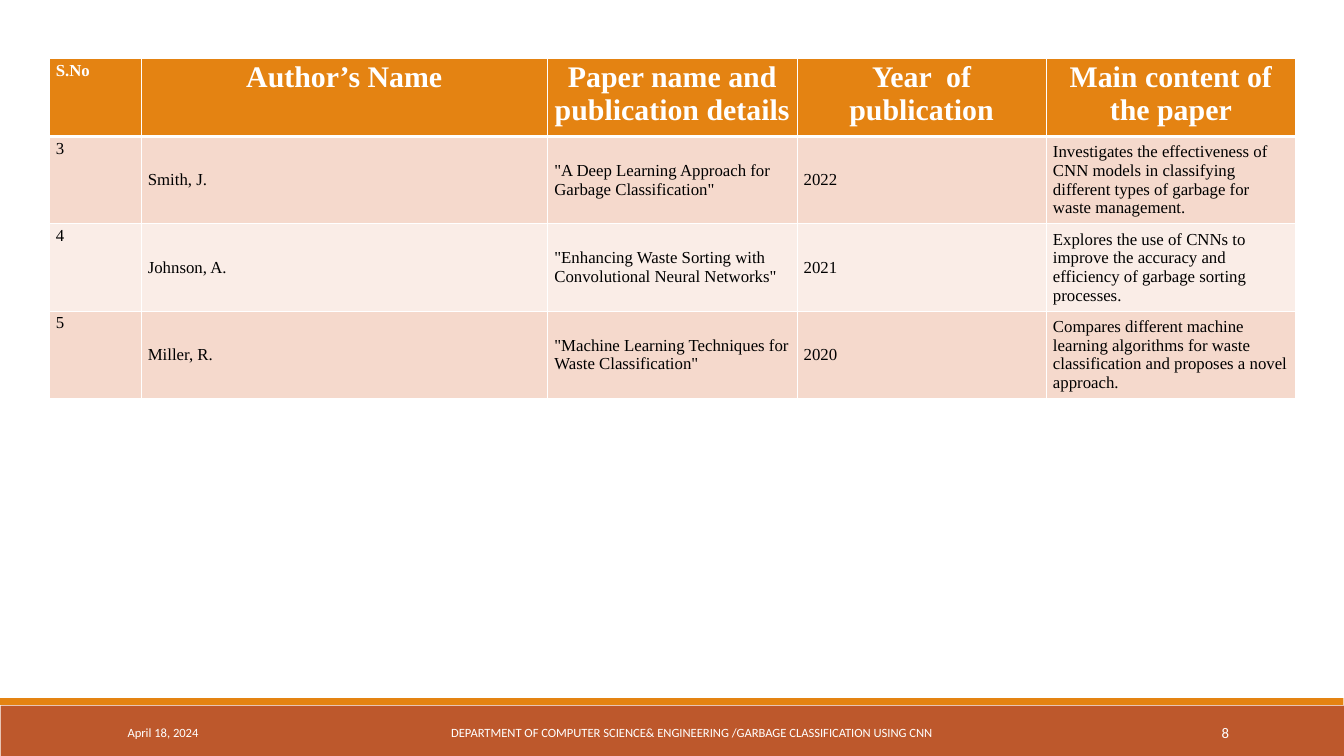
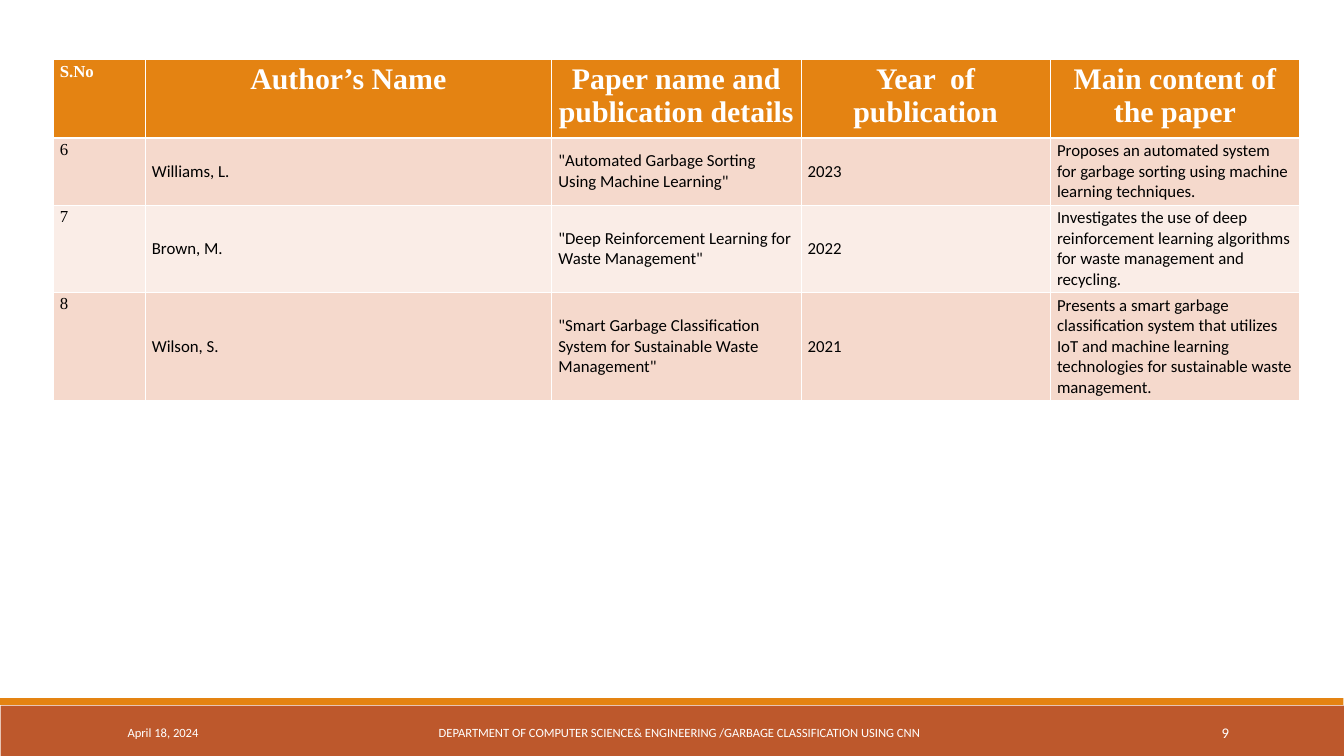
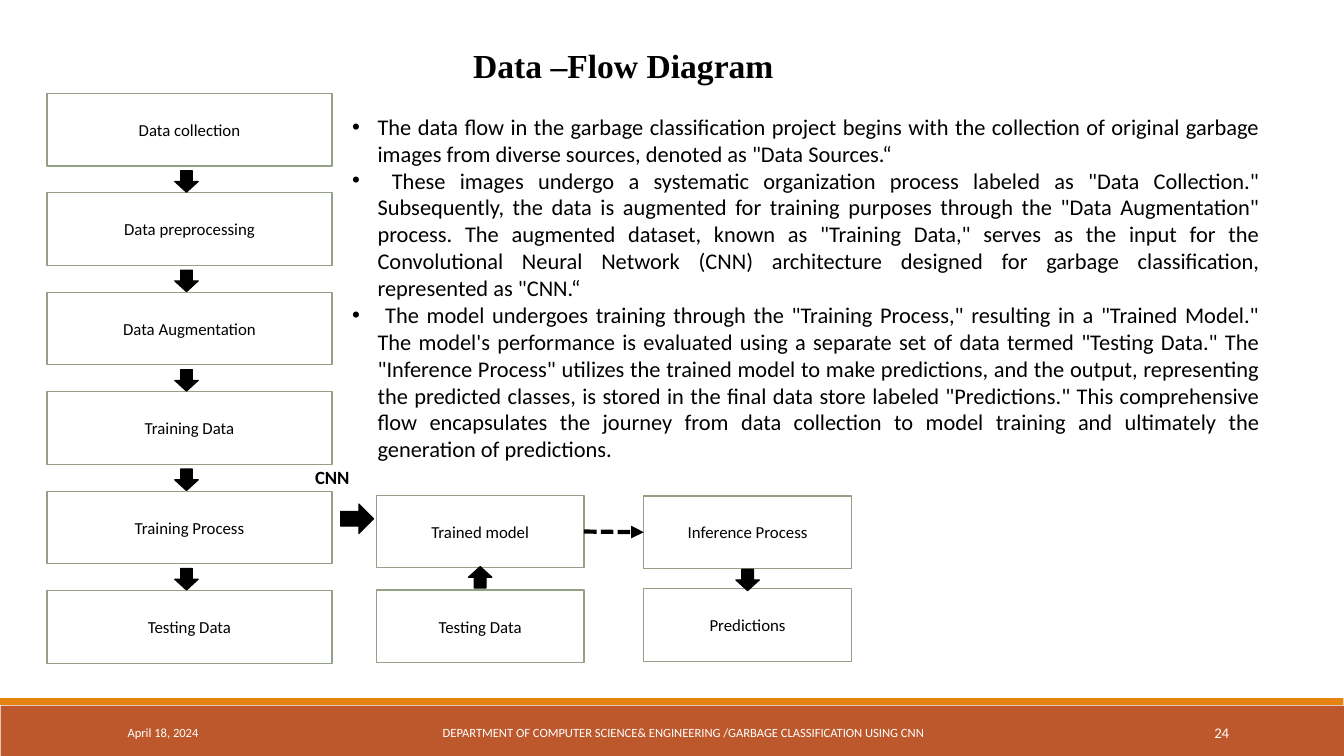
from lxml import etree
from pptx import Presentation
from pptx.dml.color import RGBColor
from pptx.enum.dml import MSO_LINE
from pptx.enum.shapes import MSO_CONNECTOR, MSO_SHAPE
from pptx.enum.text import MSO_ANCHOR, MSO_AUTO_SIZE, PP_ALIGN
from pptx.oxml.ns import qn
from pptx.util import Inches, Pt

WIDTH, HEIGHT = Inches(20), Inches(11.25)
COLUMNS, ROWS = 20, 11.25
TITLE_ONLY, BLANK = 5, 6
LEFT, CENTER, RIGHT, JUSTIFY = PP_ALIGN.LEFT, PP_ALIGN.CENTER, PP_ALIGN.RIGHT, PP_ALIGN.JUSTIFY
TOP, MIDDLE = MSO_ANCHOR.TOP, MSO_ANCHOR.MIDDLE
RECTANGLE, DOWN, ARROW_RIGHT = MSO_SHAPE.RECTANGLE, MSO_SHAPE.DOWN_ARROW, MSO_SHAPE.RIGHT_ARROW
STRAIGHT, DASHED, NO_AUTOFIT = MSO_CONNECTOR.STRAIGHT, MSO_LINE.SQUARE_DOT, MSO_AUTO_SIZE.NONE
RIGHT_SIDE, LEFT_SIDE = 3, 1

COLORS = {"band": "BD582C", "accent": "E48312", "odd_row": "F5D9CC", "even_row": "FAEDE7",
          "box_line": "94A088", "ink": "000000", "paper": "FFFFFF"}
SERIF, SANS = "Times New Roman", "Calibri"

DATE = "April 18, 2024"
DEPARTMENT = "DEPARTMENT OF COMPUTER SCIENCE& ENGINEERING /GARBAGE CLASSIFICATION USING CNN"
PAPER_HEADERS = ["S.No", "Author’s Name", "Paper name and publication details",
                 "Year  of publication", "Main content of the paper"]
PAPER_COLUMNS = [1.37, 6.05, 3.71, 3.71, 3.71]
HEADER_HEIGHT = 1.16

FIRST_PAPERS = [
    ["3", "Smith, J.", '"A Deep Learning Approach for Garbage Classification"', "2022",
     "Investigates the effectiveness of CNN models in classifying different types of garbage "
     "for waste management."],
    ["4", "Johnson, A.", '"Enhancing Waste Sorting with Convolutional Neural Networks"', "2021",
     "Explores the use of CNNs to improve the accuracy and efficiency of garbage sorting "
     "processes."],
    ["5", "Miller, R.", '"Machine Learning Techniques for Waste Classification"', "2020",
     "Compares different machine learning algorithms for waste classification and proposes "
     "a novel approach."],
]
MORE_PAPERS = [
    ["6", "Williams, L.", '"Automated Garbage Sorting Using Machine Learning"', "2023",
     "Proposes an automated system for garbage sorting using machine learning techniques."],
    ["7", "Brown, M.", '"Deep Reinforcement Learning for Waste Management"', "2022",
     "Investigates the use of deep reinforcement learning algorithms for waste management "
     "and recycling."],
    ["8", "Wilson, S.",
     '"Smart Garbage Classification System for Sustainable Waste Management"', "2021",
     "Presents a smart garbage classification system that utilizes IoT and machine learning "
     "technologies for sustainable waste management."],
]
FLOW_NOTES = [
    "The data flow in the garbage classification project begins with the collection of original "
    'garbage images from diverse sources, denoted as "Data Sources.“',
    ' These images undergo a systematic organization process labeled as "Data Collection." '
    "Subsequently, the data is augmented for training purposes through the "
    '"Data Augmentation" process. The augmented dataset, known as "Training Data," serves as '
    "the input for the Convolutional Neural Network (CNN) architecture designed for garbage "
    'classification, represented as "CNN.“',
    ' The model undergoes training through the "Training Process," resulting in a "Trained '
    "Model.\" The model's performance is evaluated using a separate set of data termed "
    '"Testing Data." The "Inference Process" utilizes the trained model to make predictions, '
    "and the output, representing the predicted classes, is stored in the final data store "
    'labeled "Predictions." This comprehensive flow encapsulates the journey from data '
    "collection to model training and ultimately the generation of predictions.",
]
PIPELINE = ["Data collection", "Data preprocessing", "Data Augmentation", "Training Data",
            "Training Process", "Testing Data"]


def color(name):
    return RGBColor.from_string(COLORS[name])


def across(columns):
    return round(WIDTH * columns / COLUMNS)


def down(rows):
    return round(HEIGHT * rows / ROWS)


def area(left, top, width, height):
    return across(left), down(top), across(width), down(height)


class Deck:
    """Holds the presentation style and the slide being filled."""

    def __init__(self):
        self.presentation = Presentation()
        self.presentation.slide_width, self.presentation.slide_height = WIDTH, HEIGHT
        self.slide = None

    def start_slide(self, number, footer_width, layout=BLANK):
        self.slide = self.presentation.slides.add_slide(
            self.presentation.slide_layouts[layout])
        self.shape(RECTANGLE, (0.01, 10.5, 19.99, 0.75), "band")
        self.shape(RECTANGLE, (0, 10.39, 19.99, 0.1), "accent")
        for left, width, words, size, align in (
                (1.8, 4.06, DATE, 13.5, LEFT),
                (6.05, footer_width, DEPARTMENT, 13.5, CENTER),
                (16.24, 2.15, str(number), 15.8, RIGHT)):
            self.text((left, 10.6, width, 0.6), [words], size, "paper", align, anchor=MIDDLE)

    def words(self, paragraph, words, size, ink="ink", align=LEFT, font=SANS, bold=False):
        paragraph.alignment = align
        run = paragraph.add_run()
        run.text = words
        run.font.size, run.font.name, run.font.bold = Pt(size), font, bold
        run.font.color.rgb = color(ink)

    def bullet(self, paragraph, indent):
        properties = paragraph._p.get_or_add_pPr()
        properties.set("marL", str(across(indent)))
        properties.set("indent", str(-across(indent)))
        etree.SubElement(properties, qn("a:buFont"), typeface="Arial")
        etree.SubElement(properties, qn("a:buChar"), char="•")

    def text(self, place, lines, size, ink="ink", align=LEFT, bold=False, anchor=TOP,
             bullet_indent=None):
        frame = self.slide.shapes.add_textbox(*area(*place)).text_frame
        frame.word_wrap, frame.vertical_anchor = True, anchor
        for index, words in enumerate(lines):
            paragraph = frame.add_paragraph() if index else frame.paragraphs[0]
            if bullet_indent:
                self.bullet(paragraph, bullet_indent)
            self.words(paragraph, words, size, ink, align, bold=bold)

    def title(self, place, words, text_offset):
        heading = self.slide.shapes.title
        heading.left, heading.top, heading.width, heading.height = area(*place)
        frame = heading.text_frame
        frame.auto_size, frame.vertical_anchor = NO_AUTOFIT, TOP
        frame.margin_left = across(text_offset)
        self.words(frame.paragraphs[0], words, 36, font=SERIF, bold=True)

    def shape(self, kind, place, fill, line=None):
        shape = self.slide.shapes.add_shape(kind, *area(*place))
        shape.shadow.inherit = False
        shape.fill.solid()
        shape.fill.fore_color.rgb = color(fill)
        if line:
            shape.line.color.rgb, shape.line.width = color(line), Pt(1.25)
        else:
            shape.line.fill.background()
        return shape

    def step(self, left, top, width, words):
        box = self.shape(RECTANGLE, (left, top, width, 1.08), "paper", "box_line")
        box.text_frame.word_wrap, box.text_frame.vertical_anchor = True, MIDDLE
        self.words(box.text_frame.paragraphs[0], words, 18, align=CENTER)
        return box

    def block_arrow(self, left, top, kind=DOWN, width=0.35, height=0.32, rotation=0):
        self.shape(kind, (left, top, width, height), "ink", "ink").rotation = rotation

    def dashed_arrow(self, source, target):
        link = self.slide.shapes.add_connector(STRAIGHT, 0, 0, 0, 0)
        link.begin_connect(source, RIGHT_SIDE)
        link.end_connect(target, LEFT_SIDE)
        link.line.color.rgb, link.line.width = color("ink"), Pt(4.5)
        link.line.dash_style = DASHED
        properties = link._element.spPr
        etree.SubElement(properties.get_or_add_ln(), qn("a:tailEnd"), type="triangle")
        etree.SubElement(properties, qn("a:effectLst"))

    def borders(self, cell, top, bottom):
        """Draw white edges; top and bottom are widths in points."""
        properties = cell._tc.get_or_add_tcPr()
        for index, (side, width) in enumerate(
                (("L", 1), ("R", 1), ("T", top), ("B", bottom))):
            edge = etree.Element(qn(f"a:ln{side}"), w=str(Pt(width)))
            fill = etree.SubElement(edge, qn("a:solidFill"))
            etree.SubElement(fill, qn("a:srgbClr"), val=COLORS["paper"])
            properties.insert(index, edge)

    def paper_table(self, left, top, papers, heights, font):
        records = [PAPER_HEADERS] + papers
        heights = [HEADER_HEIGHT] + heights
        table = self.slide.shapes.add_table(
            len(records), len(PAPER_COLUMNS),
            *area(left, top, sum(PAPER_COLUMNS), sum(heights))).table
        table.horz_banding = False
        for column, width in zip(table.columns, PAPER_COLUMNS):
            column.width = across(width)
        for row, (record, height) in enumerate(zip(records, heights)):
            table.rows[row].height = down(height)
            fill = "accent" if row == 0 else "odd_row" if row % 2 else "even_row"
            for column, words in enumerate(record):
                cell = table.cell(row, column)
                cell.fill.solid()
                cell.fill.fore_color.rgb = color(fill)
                cell.margin_top = cell.margin_bottom = down(0.04)
                cell.vertical_anchor = MIDDLE if row and column else TOP
                self.borders(cell, 3 if row == 1 else 1, 3 if row == 0 else 1)
                paragraph = cell.text_frame.paragraphs[0]
                if row == 0:
                    self.words(paragraph, words, 32 if column else 18, "paper",
                               CENTER if column else LEFT, SERIF, True)
                else:
                    self.words(paragraph, words, 18, font=font if column else SERIF)


def draw_data_flow(deck):
    deck.title((0.7, 0.62, 18.61, 0.71), "Data –Flow Diagram", 6.34)
    deck.text((5.14, 1.63, 13.7, 5.35), FLOW_NOTES, 24, align=JUSTIFY, bullet_indent=0.38)
    first_top, pitch = 1.39, 1.48
    for index, words in enumerate(PIPELINE):
        top = first_top + index * pitch
        deck.step(0.7, top, 4.24, words)
        if index:
            deck.block_arrow(2.6, top - 0.33)
    deck.text((4.59, 6.88, 1.35, 0.44), ["CNN"], 20, bold=True)
    deck.block_arrow(5.07, 7.5, ARROW_RIGHT, 0.49, 0.44)

    model_left, inference_left, width = 5.6, 9.58, 3.09
    trained_model = deck.step(model_left, 7.37, width, "Trained model")
    deck.step(model_left, 8.78, width, "Testing Data")
    deck.block_arrow(6.97, 8.43, rotation=180)
    inference = deck.step(inference_left, 7.38, width, "Inference Process")
    deck.step(inference_left, 8.76, width, "Predictions")
    deck.block_arrow(10.95, 8.47)
    deck.dashed_arrow(trained_model, inference)


def main():
    deck = Deck()
    deck.start_slide(8, 8.49)
    deck.paper_table(0.73, 0.87, FIRST_PAPERS, [1.3, 1.3, 1.3], SERIF)
    deck.start_slide(9, 8.12)
    deck.paper_table(0.79, 0.89, MORE_PAPERS, [1, 1.3, 1.61], SANS)
    deck.start_slide(24, 8.24, TITLE_ONLY)
    draw_data_flow(deck)
    deck.presentation.save("out.pptx")


if __name__ == "__main__":
    main()
